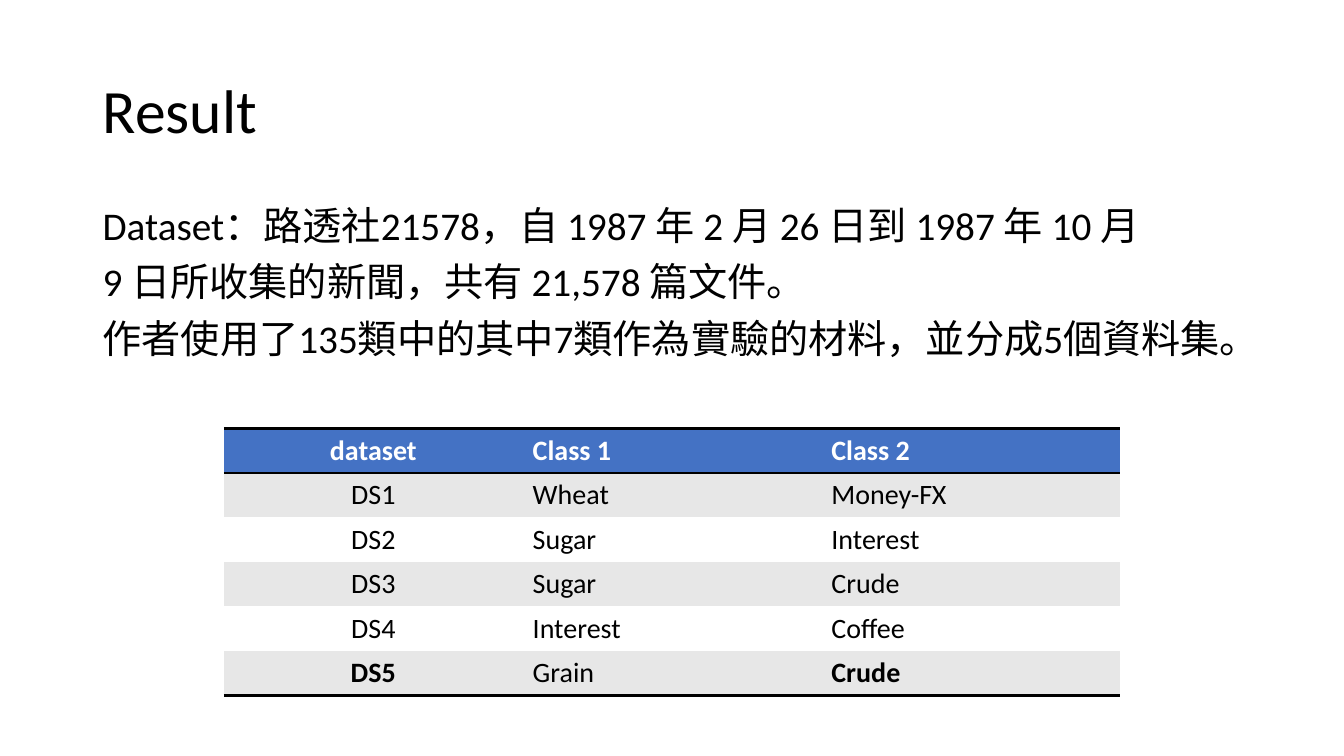
"""Build the Result slide: a title, dataset notes and a table of class pairs."""
from dataclasses import dataclass

from lxml import etree
from pptx import Presentation
from pptx import util as u
from pptx.dml.color import RGBColor
from pptx.enum import text
from pptx.oxml.ns import qn


@dataclass(frozen=True)
class Theme:
    """Colours, fonts and type sizes of the slide."""
    ink: str = "000000"
    paper: str = "FFFFFF"
    head: str = "4472C4"
    band: str = "E7E7E7"
    latin: str = "Calibri"
    asian: str = "Noto Sans CJK TC"
    title: int = 44
    body: int = 28
    cell: int = 20
    rule: int = 2


T = Theme()
W, H = u.Inches(13.33), u.Inches(7.5)
NO_STYLE = "{2D5ABB26-0587-4C30-8999-92F81FD0307C}"
NOTES = [
    "Dataset：路透社21578，自 1987 年 2 月 26 日到 1987 年 10 月",
    "9 日所收集的新聞，共有 21,578 篇文件。",
    "作者使用了135類中的其中7類作為實驗的材料，並分成5個資料集。",
]
PAIRS = [
    ("dataset", "Class 1", "Class 2"),
    ("DS1", "Wheat", "Money-FX"),
    ("DS2", "Sugar", "Interest"),
    ("DS3", "Sugar", "Crude"),
    ("DS4", "Interest", "Coffee"),
    ("DS5", "Grain", "Crude"),
]
BOLD = {(0, 0), (0, 1), (0, 2), (5, 0), (5, 2)}


def share(x, y, w, h):
    """Turn shares of the slide into a box of lengths."""
    return int(x * W), int(y * H), int(w * W), int(h * H)


def add_run(p, words, size, color, bold=False):
    """Add one run with the theme fonts to a paragraph."""
    r = p.add_run()
    r.text = words
    for name, value in {"size": u.Pt(size), "bold": bold, "name": T.latin}.items():
        setattr(r.font, name, value)
    r.font.color.rgb = RGBColor.from_string(color)
    etree.SubElement(r.font._element, qn("a:ea"), typeface=T.asian)


def text_region(s, box, lines, size, anchor):
    """Place left-aligned paragraphs in the given box."""
    tf = s.shapes.add_textbox(*box).text_frame
    for name, value in {"word_wrap": True, "vertical_anchor": anchor}.items():
        setattr(tf, name, value)
    for i, line in enumerate(lines):
        p = tf.add_paragraph() if i else tf.paragraphs[0]
        p.line_spacing = 0.9
        p.space_before = u.Pt(10 if i else 0)
        add_run(p, line, size, T.ink)


def add_rule(cell, sides):
    """Draw horizontal rules on the named sides of a cell."""
    tc_pr = cell._tc.get_or_add_tcPr()
    for i, side in enumerate(sides):
        ln = etree.Element(qn(f"a:ln{side}"), w=str(u.Pt(T.rule)))
        fill = etree.SubElement(ln, qn("a:solidFill"))
        etree.SubElement(fill, qn("a:srgbClr"), val=T.ink)
        tc_pr.insert(i, ln)


def table_region(s, box, rows):
    """Fill the given box with a banded table of equal rows and columns."""
    tbl = s.shapes.add_table(len(rows), len(rows[0]), *box).table
    tbl._tbl.tblPr.find(qn("a:tableStyleId")).text = NO_STYLE
    tbl.first_row = tbl.horz_banding = False
    sides = {0: "TB", len(rows) - 1: "B"}
    for i, row in enumerate(rows):
        fill = T.head if i == 0 else T.band if i % 2 else T.paper
        for j, words in enumerate(row):
            cell = tbl.cell(i, j)
            cell.fill.solid()
            cell.fill.fore_color.rgb = RGBColor.from_string(fill)
            add_rule(cell, sides.get(i, ""))
            p = cell.text_frame.paragraphs[0]
            p.alignment = text.PP_ALIGN.LEFT if j else text.PP_ALIGN.CENTER
            add_run(p, words, T.cell, T.ink if i else T.paper, (i, j) in BOLD)


def result_slide(prs):
    """Add the slide with its title, notes and table."""
    s = prs.slides.add_slide(prs.slide_layouts[6])
    left, width = 0.92 / 13.33, 11.5 / 13.33
    text_region(s, share(left, 0.4 / 7.5, width, 1.45 / 7.5), ["Result"],
                T.title, text.MSO_ANCHOR.MIDDLE)
    text_region(s, share(left, 2 / 7.5, width, 4.76 / 7.5), NOTES,
                T.body, text.MSO_ANCHOR.TOP)
    table_region(s, share(1 / 6, 4.25 / 7.5, 2 / 3, 2.65 / 7.5), PAIRS)


def main():
    """Build and save the presentation."""
    prs = Presentation()
    prs.slide_width, prs.slide_height = W, H
    result_slide(prs)
    prs.save("out.pptx")


if __name__ == "__main__":
    main()
